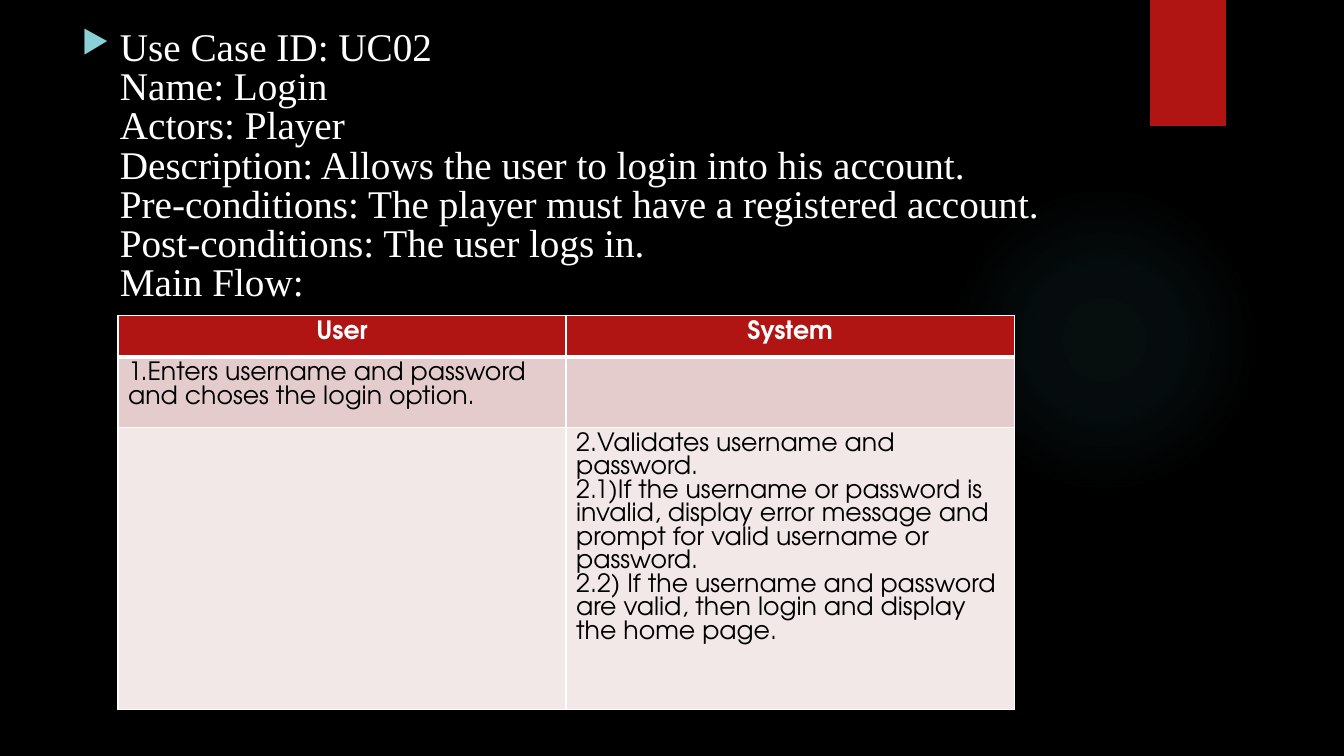
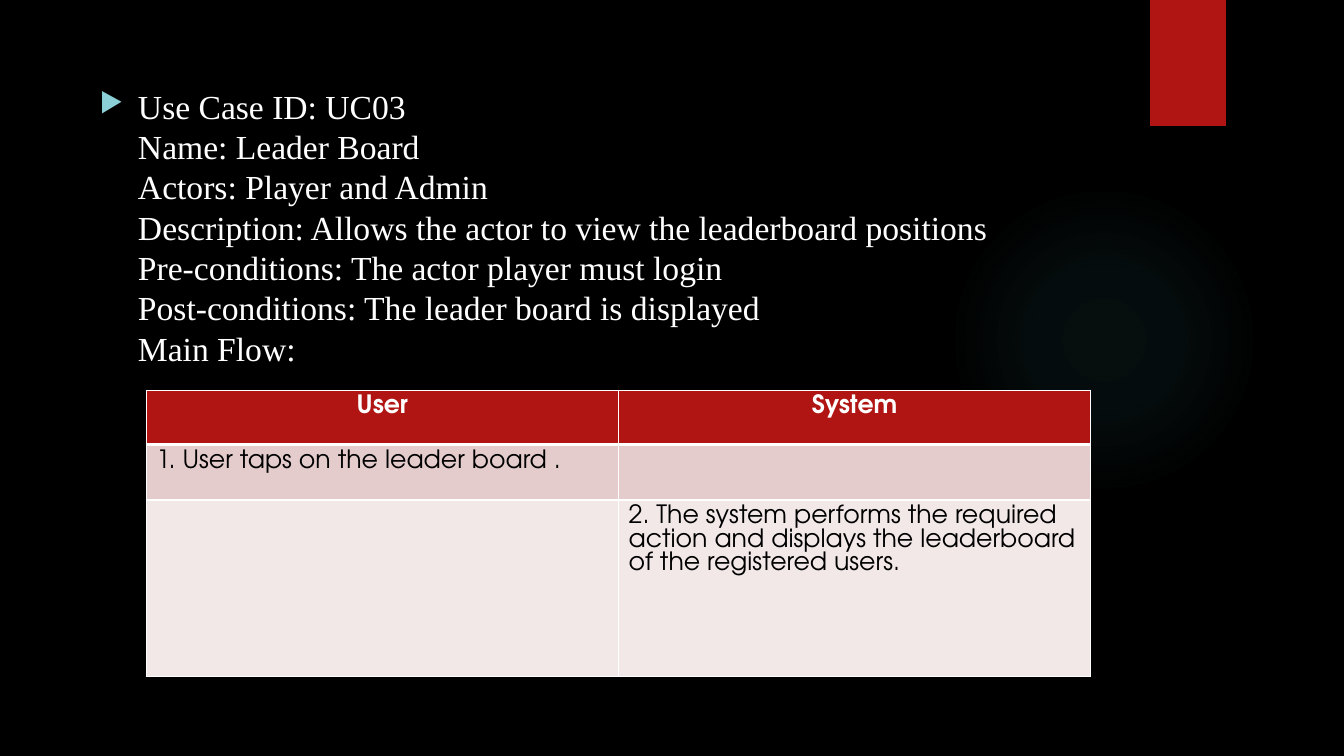
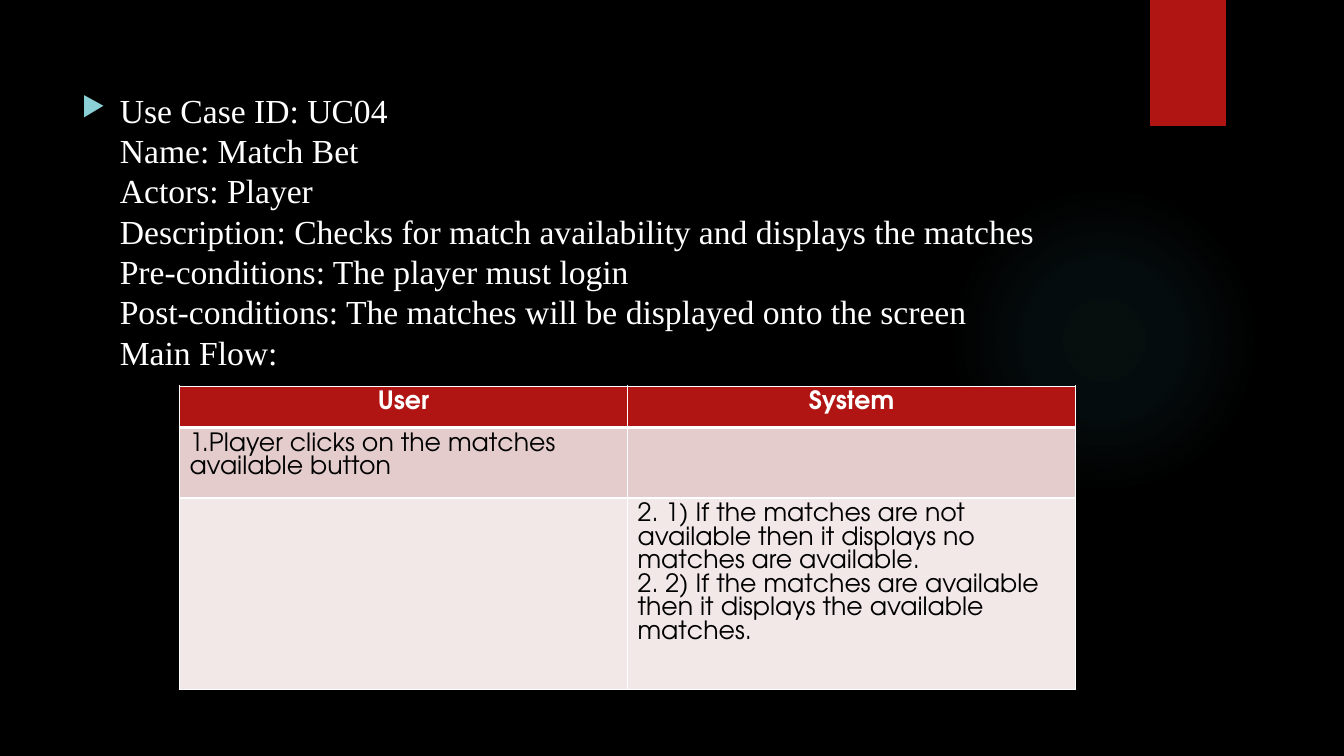
from pptx import Presentation
from pptx.dml.color import RGBColor
from pptx.enum.shapes import MSO_SHAPE
from pptx.enum.text import PP_ALIGN
from pptx.oxml import parse_xml
from pptx.oxml.ns import nsdecls
from pptx.util import Inches, Pt

OVAL = MSO_SHAPE.OVAL
RECTANGLE = MSO_SHAPE.RECTANGLE
CENTER = PP_ALIGN.CENTER
LEFT = PP_ALIGN.LEFT

BODY_FONT = "Times New Roman"
TABLE_FONT = "TeX Gyre Adventor"
RED = "B01513"
TEAL = "50B9C1"
BULLET = "8AD0D6"
WHITE = "FFFFFF"
BLACK = "000000"
ROW_FILLS = [RED, "E4CCCC", "F2E8E7"]
GLOW_STOPS = [(0, 7), (36, 6), (69, 0)]
NAMESPACE = nsdecls("a")

USE_CASES = [
    {
        "details": [
            "Use Case ID: UC02",
            "Name: Login",
            "Actors: Player",
            "Description: Allows the user to login into his account.",
            "Pre-conditions: The player must have a registered account.",
            "Post-conditions: The user logs in.",
            "Main Flow:",
        ],
        "body": (5.33, 3.33, 76.28, 83.2),
        "size": 28,
        "spacing": 28,
        "table": (8.78, 41.73, 66.68),
        "rows": (5.47, 7.6, 29.47),
        "user": "1.Enters username and password and choses the login option.",
        "system": "2.Validates username and password.\n"
                  "2.1)If the username or password is invalid, display error message "
                  "and prompt for valid username or password.\v"
                  "2.2) If the username and password are valid, then login "
                  "and display the home page.",
    },
    {
        "details": [
            "Use Case ID: UC03",
            "Name: Leader Board",
            "Actors: Player and Admin",
            "Description: Allows the actor to view the leaderboard positions",
            "Pre-conditions: The actor player must login",
            "Post-conditions: The leader board is displayed",
            "Main Flow:",
        ],
        "body": (6.68, 10.67, 75.75, 84.4),
        "size": 24,
        "spacing": 28.8,
        "table": (10.88, 51.6, 70.28),
        "rows": (7.2, 7.33, 23.33),
        "user": "1. User taps on the leader board .",
        "system": "2. The system performs the required action and displays "
                  "the leaderboard of the registered users.",
    },
    {
        "details": [
            "Use Case ID: UC04",
            "Name: Match Bet",
            "Actors: Player",
            "Description: Checks for match availability and displays the matches",
            "Pre-conditions: The player must login",
            "Post-conditions: The matches will be displayed onto the screen",
            "Main Flow:",
        ],
        "body": (5.33, 11.2, 77.18, 79.87),
        "size": 24,
        "spacing": 28.8,
        "table": (13.35, 51.07, 66.68),
        "rows": (5.47, 7.6, 20),
        "user": "1.Player clicks on the matches available button",
        "system": "2. 1) If the matches are not available then it displays "
                  "no matches are available.\n"
                  "2. 2) If the matches are available then it displays "
                  "the available matches.",
    },
]

deck = Presentation()
deck.slide_width = Inches(13.33)
deck.slide_height = Inches(7.5)


def color(value):
    return RGBColor.from_string(value)


def frame(left, top, width, height):
    sides = (deck.slide_width, deck.slide_height) * 2
    return [int(side * percent / 100) for side, percent in zip(sides, (left, top, width, height))]


backdrop = deck.slide_master.background.fill
backdrop.solid()
backdrop.fore_color.rgb = color(BLACK)

for case in USE_CASES:
    page = deck.slides.add_slide(deck.slide_layouts[6])

    glow = page.shapes.add_shape(OVAL, *frame(70.58, 24.4, 23.1, 41.07))
    glow.shadow.inherit = False
    glow.line.fill.background()
    stops = "".join(
        f'<a:gs pos="{position * 1000}"><a:srgbClr val="{TEAL}">'
        f'<a:alpha val="{alpha * 1000}"/></a:srgbClr></a:gs>'
        for position, alpha in GLOW_STOPS
    )
    glow.element.spPr.find("{*}prstGeom").addnext(parse_xml(
        f'<a:gradFill {NAMESPACE} rotWithShape="1"><a:gsLst>{stops}</a:gsLst>'
        '<a:path path="circle"><a:fillToRect l="50000" t="50000" r="50000" b="50000"/>'
        '</a:path></a:gradFill>'
    ))

    ribbon = page.shapes.add_shape(RECTANGLE, *frame(85.58, 0, 5.63, 16.67))
    ribbon.shadow.inherit = False
    ribbon.line.fill.background()
    ribbon.fill.solid()
    ribbon.fill.fore_color.rgb = color(RED)

    box = page.shapes.add_textbox(*frame(*case["body"]))
    box.text_frame.word_wrap = True
    para = box.text_frame.paragraphs[0]
    para.text = "\v".join(case["details"])
    para.line_spacing = Pt(case["spacing"])
    properties = para._p.get_or_add_pPr()
    properties.set("marL", str(Inches(0.38)))
    properties.set("indent", str(Inches(-0.38)))
    for bullet_part in (
        f'<a:buClr {NAMESPACE}><a:srgbClr val="{BULLET}"/></a:buClr>',
        f'<a:buSzPct {NAMESPACE} val="80000"/>',
        f'<a:buChar {NAMESPACE} char="▶"/>',
    ):
        properties.append(parse_xml(bullet_part))
    para.font.name = BODY_FONT
    para.font.size = Pt(case["size"])
    para.font.color.rgb = color(WHITE)

    place = frame(*case["table"], sum(case["rows"]))
    table = page.shapes.add_table(3, 2, *place).table
    texts = [("User", "System"), (case["user"], ""), ("", case["system"])]
    for row_index, row_texts in enumerate(texts):
        is_header = row_index == 0
        table.rows[row_index].height = int(deck.slide_height * case["rows"][row_index] / 100)
        widths = {"L": 1, "R": 1, "T": 3 if row_index == 1 else 1, "B": 3 if is_header else 1}
        for column_index, text in enumerate(row_texts):
            cell = table.cell(row_index, column_index)
            cell_properties = cell._tc.get_or_add_tcPr()
            for side, width in widths.items():
                cell_properties.append(parse_xml(
                    f'<a:ln{side} {NAMESPACE} w="{Pt(width)}"><a:solidFill>'
                    f'<a:srgbClr val="{WHITE}"/></a:solidFill></a:ln{side}>'
                ))
            cell.fill.solid()
            cell.fill.fore_color.rgb = color(ROW_FILLS[row_index])
            cell.text_frame.text = text
            for para in cell.text_frame.paragraphs:
                para.alignment = CENTER if is_header else LEFT
                para.font.name = TABLE_FONT
                para.font.size = Pt(18)
                para.font.bold = is_header
                para.font.color.rgb = color(WHITE if is_header else BLACK)

deck.save("out.pptx")
